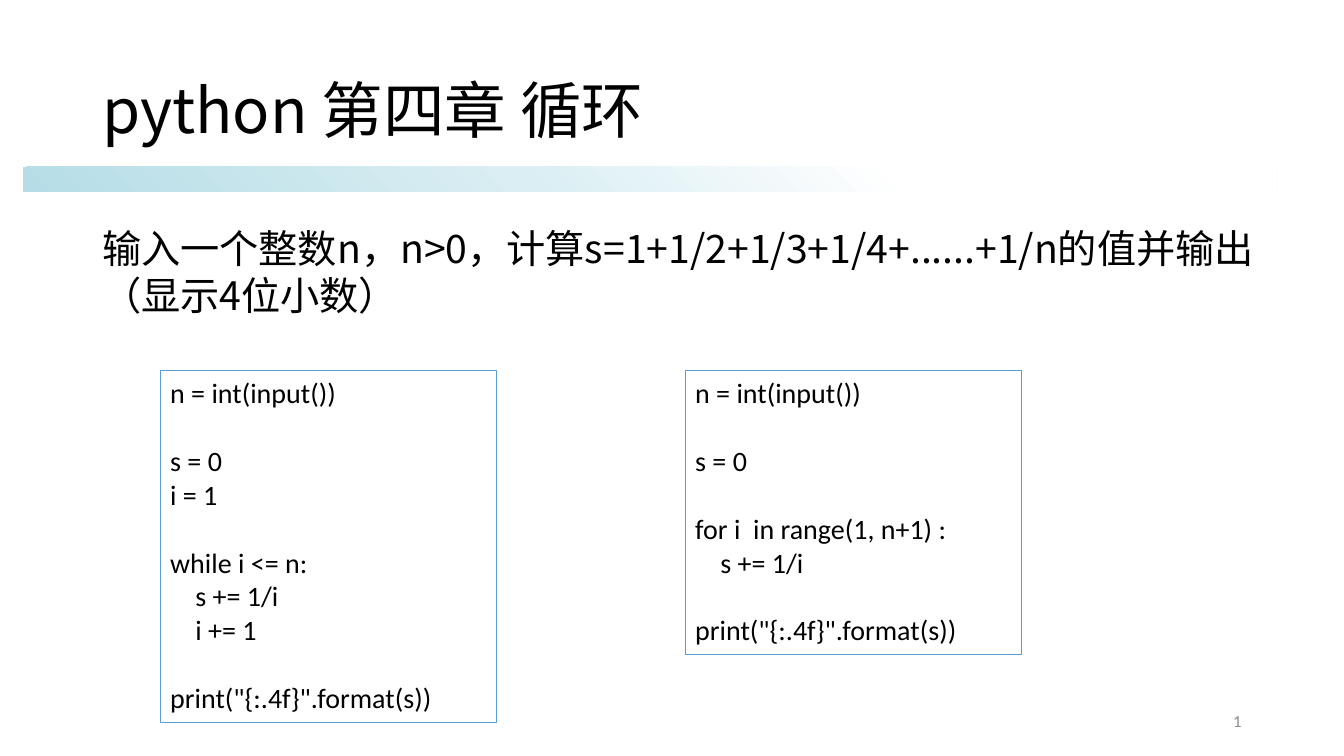
from lxml.etree import SubElement
from pptx import Presentation
from pptx.dml.color import RGBColor
from pptx.enum.shapes import MSO_SHAPE
from pptx.enum.text import MSO_ANCHOR, PP_ALIGN
from pptx.oxml import parse_xml
from pptx.oxml.ns import nsdecls, qn
from pptx.util import Pt

# Content
TITLE = "python 第四章 循环"
TASK = "输入一个整数n，n>0，计算s=1+1/2+1/3+1/4+......+1/n的值并输出（显示4位小数）"
PAGE_NUMBER = "1"
# Each block of code is a group of (indent level, line)
WHILE_CODE = [
    [(0, "n = int(input())")],
    [(0, "s = 0"), (0, "i = 1")],
    [(0, "while i <= n:"), (1, "s += 1/i"), (1, "i += 1")],
    [(0, 'print("{:.4f}".format(s))')],
]
FOR_CODE = [
    [(0, "n = int(input())")],
    [(0, "s = 0")],
    [(0, "for i  in range(1, n+1) :"), (1, "s += 1/i")],
    [(0, 'print("{:.4f}".format(s))')],
]
BAND_STOPS = [(0, "B6DDE7"), (40, "DAEEF3"), (70, "FFFFFF"), (100, "FFFFFF")]

# Layout, in points
LATIN, CJK = "Calibri", "Noto Sans CJK SC"
LEFT = 66
CODE_LEFT, CODE_TOP, CODE_WIDTH, CODE_STEP = 114.5, 265, 240, 375
CODE_LINE, CODE_INDENT, INSET = 24.4, 18, 3.6

presentation = Presentation()
presentation.slide_width, presentation.slide_height = Pt(960), Pt(540)
slide = presentation.slides.add_slide(presentation.slide_layouts[6])


def color(hex_value):
    return RGBColor.from_string(hex_value)


def write(paragraph, text, size=20, font=LATIN, ink="000000", align=None,
          spacing=None, before=0, indent=0):
    run = paragraph.add_run()
    run.text = text
    run.font.size, run.font.name = Pt(size), font
    run.font.color.rgb = color(ink)
    SubElement(run.font._element, qn("a:ea")).set("typeface", font)
    paragraph.alignment = align or PP_ALIGN.LEFT
    paragraph.space_before = Pt(before)
    if spacing:
        paragraph.line_spacing = spacing
    if indent:
        paragraph._p.get_or_add_pPr().set("marL", str(Pt(indent)))


def add_text(text, left, top, width, height, anchor=MSO_ANCHOR.MIDDLE, **style):
    frame = slide.shapes.add_textbox(Pt(left), Pt(top), Pt(width), Pt(height)).text_frame
    frame.word_wrap = True
    frame.vertical_anchor = anchor
    write(frame.paragraphs[0], text, **style)


def add_rectangle(left, top, width, height):
    rectangle = slide.shapes.add_shape(
        MSO_SHAPE.RECTANGLE, Pt(left), Pt(top), Pt(width), Pt(height))
    rectangle.shadow.inherit = False
    rectangle.fill.background()
    return rectangle


def add_code(blocks, left):
    # One line's height separates the blocks
    line_count = sum(map(len, blocks)) + len(blocks) - 1
    panel = add_rectangle(left, CODE_TOP, CODE_WIDTH, line_count * CODE_LINE + 2 * INSET)
    panel.line.color.rgb = color("5B9BD5")
    panel.line.width = Pt(0.75)
    frame = panel.text_frame
    frame.word_wrap = True
    frame.vertical_anchor = MSO_ANCHOR.TOP
    paragraph = frame.paragraphs[0]
    for block_index, block in enumerate(blocks):
        for line_index, (level, line) in enumerate(block):
            starts_block = block_index > 0 and line_index == 0
            if block_index or line_index:
                paragraph = frame.add_paragraph()
            write(paragraph, line, before=CODE_LINE if starts_block else 0,
                  indent=level * CODE_INDENT)


# Gradient band under the title
band = add_rectangle(16.5, 119, 896, 18)
band.line.fill.background()
stops = "".join(f'<a:gs pos="{percent * 1000}"><a:srgbClr val="{shade}"/></a:gs>'
                for percent, shade in BAND_STOPS)
gradient = parse_xml(f'<a:gradFill {nsdecls("a")} rotWithShape="1"><a:gsLst>{stops}</a:gsLst>'
                     f'<a:lin ang="{315 * 60000}" scaled="0"/></a:gradFill>')
no_fill = band._element.spPr.find(qn("a:noFill"))
no_fill.getparent().replace(no_fill, gradient)

# Title, task and page number
add_text(TITLE, LEFT, 29, 828, 104, size=44, font=CJK, spacing=0.9)
add_text(PAGE_NUMBER, 678, 500.5, 216, 29, size=12, ink="8C8C8C", align=PP_ALIGN.RIGHT)
add_text(TASK, LEFT, 156, 877, 75, anchor=MSO_ANCHOR.TOP, size=28, font=CJK, spacing=Pt(34))

# Two solutions side by side
for column, code in enumerate([WHILE_CODE, FOR_CODE]):
    add_code(code, CODE_LEFT + column * CODE_STEP)

presentation.save("out.pptx")
